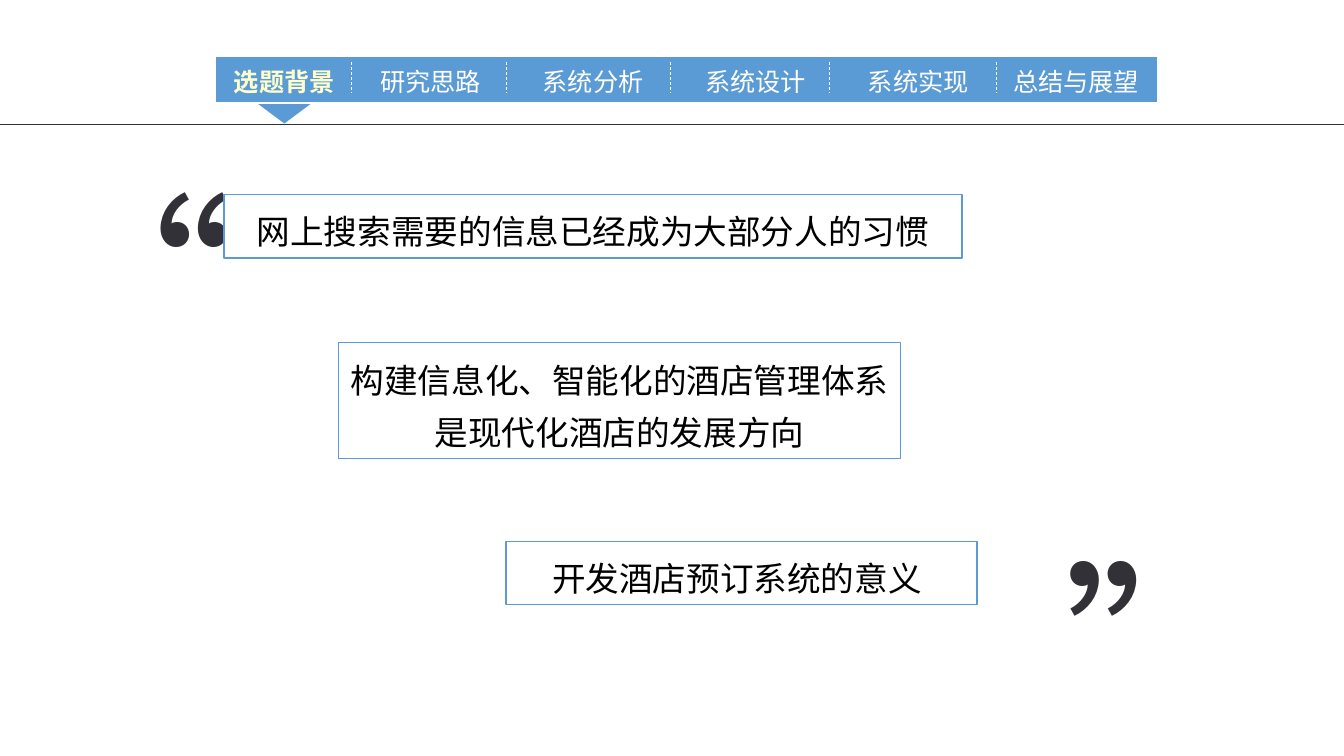
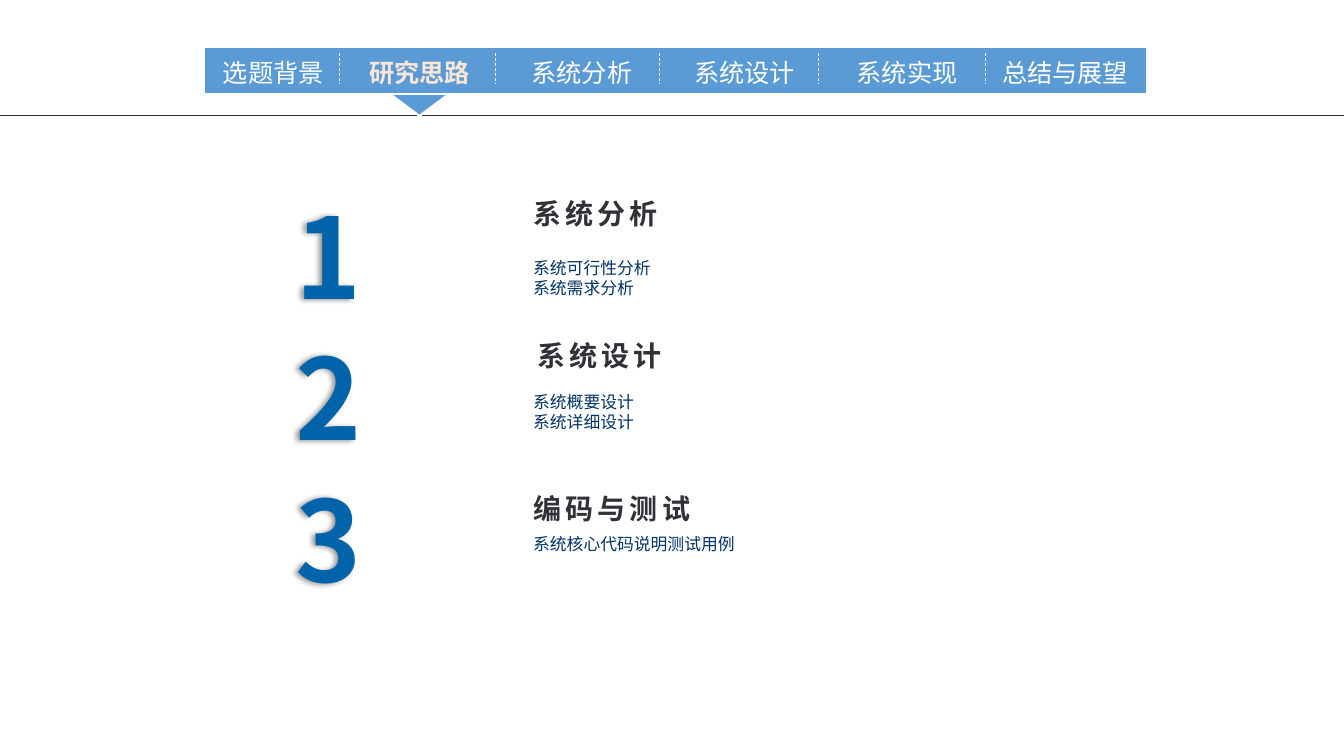
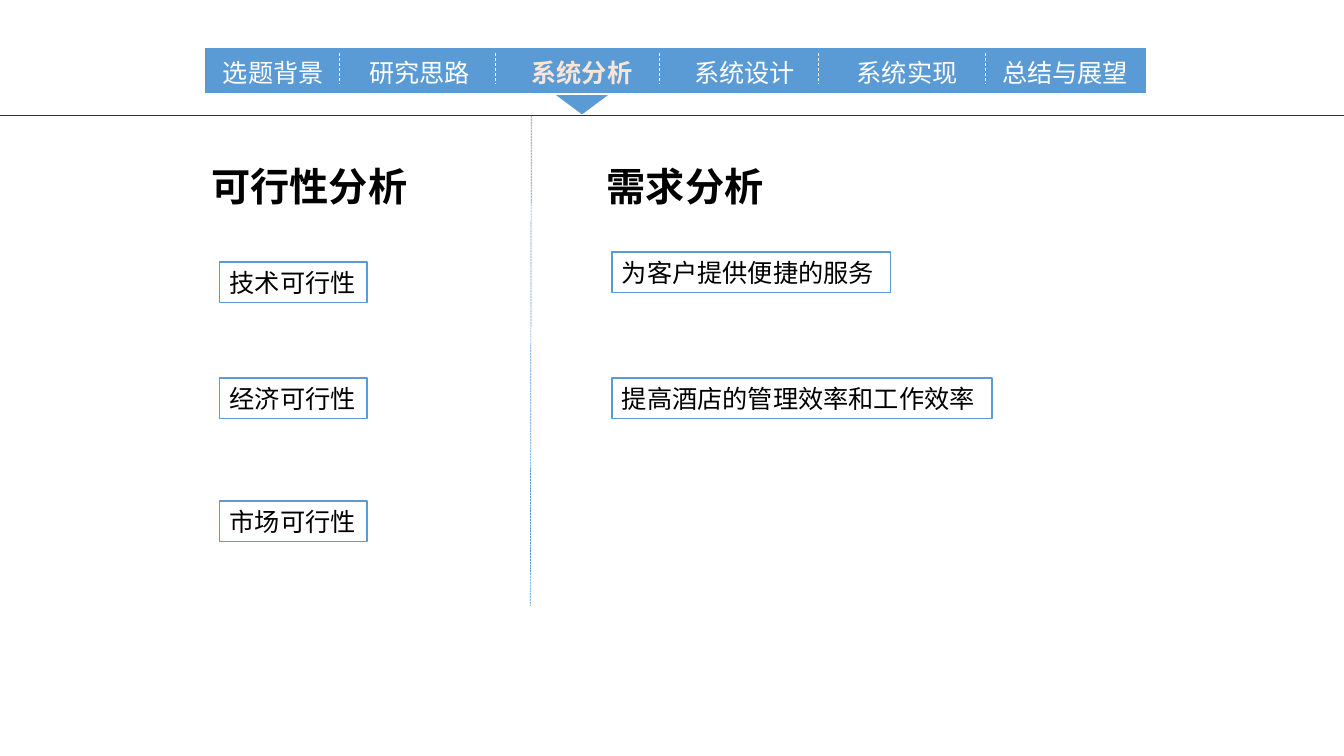
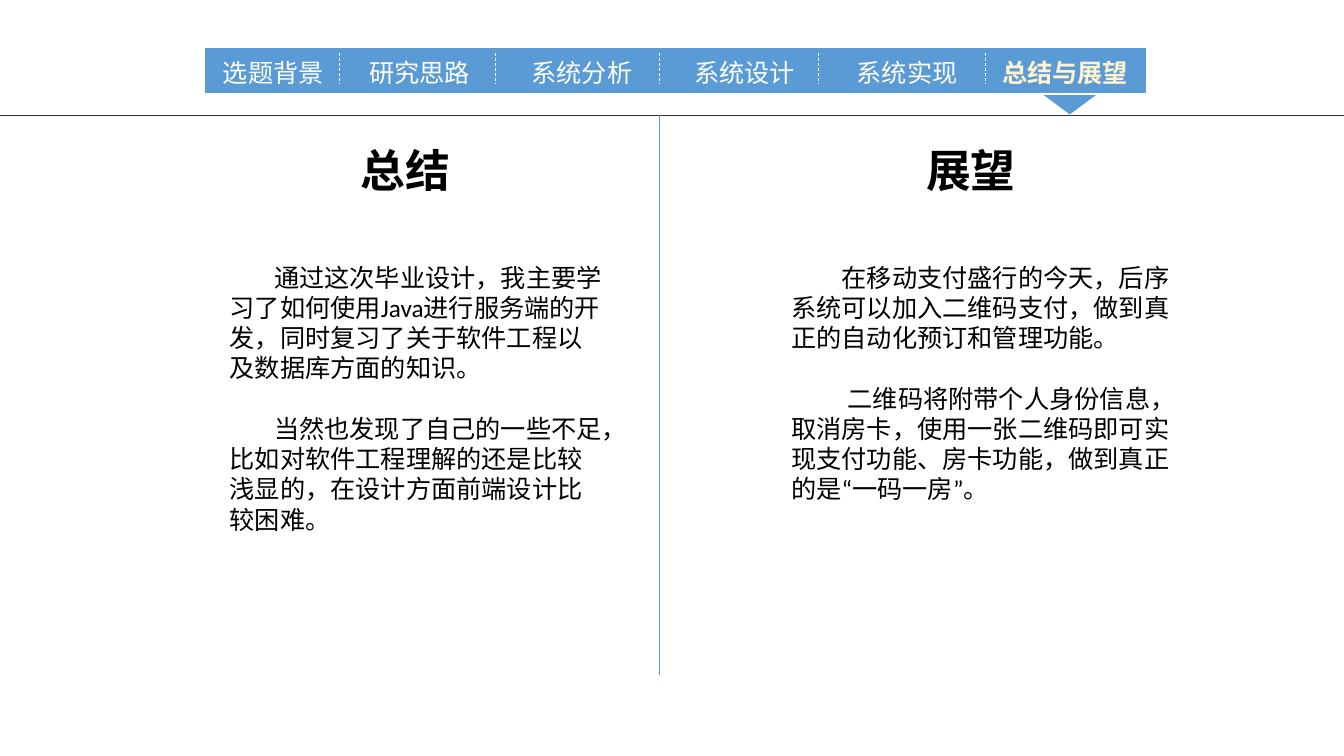
from dataclasses import dataclass
from typing import Any, Optional

import lxml.etree
import pptx
import pptx.dml.color
import pptx.enum.dml
import pptx.enum.shapes
import pptx.enum.text
import pptx.oxml.ns
import pptx.slide
import pptx.util

# Shared look: lengths are cells of a grid with ten cells to the inch
COLS, ROWS = 133.3, 75
CELL = pptx.util.Inches(0.1)
BLUE, WHITE, BLACK, DARK = "5B9BD5", "FFFFFF", "000000", "313137"
NUMBER_BLUE, NAVY = "0163AA", "003366"
CREAM, PEACH, SAND = "FFFFCC", "FBE5D6", "FFF2CC"
SANS, BODY = "Noto Sans CJK SC", "Calibri"
LEFT = pptx.enum.text.PP_ALIGN.LEFT
CENTER = pptx.enum.text.PP_ALIGN.CENTER
DASH = pptx.enum.dml.MSO_LINE.DASH
SHORT_DASH = pptx.enum.dml.MSO_LINE.SQUARE_DOT
RECT = pptx.enum.shapes.MSO_SHAPE.RECTANGLE
TRIANGLE = pptx.enum.shapes.MSO_SHAPE.ISOSCELES_TRIANGLE

# Navigation bar, measured from its left top corner
TABS = ["选题背景", "研究思路", "系统分析", "系统设计", "系统实现", "总结与展望"]
BAR_COLS, BAR_ROWS = 93.6, 4.6
TAB_COLS = 15.4
FIRST_TAB, SECOND_TAB, LAST_TAB = -0.8, 13.7, 78.2
DIVIDERS = [13.5, 28.9, 45.2, 61.0, 77.5]
ARROW_COLS, ARROW_ROWS = 5.9, 2.2
RULE_ROW = 6.7


@dataclass(frozen=True)
class Box:
    col: float
    row: float
    cols: float
    rows: float


@dataclass(frozen=True)
class Style:
    """Text style; leading is the line height as a share of the size."""
    size: float
    font: str = BODY
    color: str = BLACK
    bold: bool = False
    align: Any = LEFT
    leading: float = 1.2
    tracking: float = 0


@dataclass(frozen=True)
class Para:
    text: str
    indent: float = 0
    before: float = 0


@dataclass(frozen=True)
class Step:
    number: str
    number_row: float
    title: str
    title_at: tuple[float, float]
    details: list[str]
    details_row: float


@dataclass(frozen=True)
class Column:
    title: str
    title_box: Box
    text_box: Box
    paras: list[Para]


TAB = Style(18, SANS, WHITE, leading=1.29)
QUOTE = Style(139, SANS, DARK, leading=1.29)
OPEN_QUOTE = Style(139, SANS, DARK, leading=1.64)
STATEMENT = Style(24, "TeX Gyre Adventor", align=CENTER, leading=1.55)
NUMBER = Style(80, SANS, NUMBER_BLUE, True, CENTER, 1.29)
STEP_TITLE = Style(20, SANS, DARK, True, leading=1.29, tracking=3)
DETAIL = Style(12, "DejaVu Sans", NAVY)
ITEM = Style(18)


def rgb(color: str) -> pptx.dml.color.RGBColor:
    return pptx.dml.color.RGBColor.from_string(color)


def cells(n: float) -> int:
    return round(n * CELL)


def place(box: Box) -> list[int]:
    return [cells(n) for n in (box.col, box.row, box.cols, box.rows)]


# Drawing helpers
def write(sp: Any, paras: list[Para], style: Style) -> None:
    tf = sp.text_frame
    tf.word_wrap = True
    tf.vertical_anchor = pptx.enum.text.MSO_ANCHOR.TOP
    for i, para in enumerate(paras):
        p = tf.paragraphs[0] if i == 0 else tf.add_paragraph()
        p.text = para.text
        p.alignment = style.align
        p.line_spacing = pptx.util.Pt(style.size * style.leading)
        if para.before:
            p.space_before = pptx.util.Pt(para.before)
        if para.indent:
            p._p.get_or_add_pPr().set("indent", str(cells(para.indent)))
        for r in p.runs:
            r.font.size = pptx.util.Pt(style.size)
            r.font.bold = style.bold
            r.font.color.rgb = rgb(style.color)
            r.font.name = style.font
            rpr = r._r.get_or_add_rPr()
            ea = lxml.etree.SubElement(rpr, pptx.oxml.ns.qn("a:ea"))
            ea.set("typeface", style.font)
            if style.tracking:
                rpr.set("spc", str(round(style.tracking * 100)))


def add_text(shapes: Any, box: Box, paras: list[Para], style: Style) -> Any:
    sp = shapes.add_textbox(*place(box))
    write(sp, paras, style)
    return sp


def add_block(shapes: Any, kind: Any, box: Box, fill: str, line: str,
              width: float) -> Any:
    sp = shapes.add_shape(kind, *place(box))
    sp.shadow.inherit = False
    sp.fill.solid()
    sp.fill.fore_color.rgb = rgb(fill)
    sp.line.color.rgb = rgb(line)
    sp.line.width = pptx.util.Pt(width)
    return sp


def add_framed(shapes: Any, box: Box, text: str, style: Style) -> None:
    sp = add_block(shapes, RECT, box, WHITE, BLUE, 1)
    write(sp, [Para(text)], style)


def add_line(shapes: Any, start: tuple[float, float], end: tuple[float, float],
             color: str, dash: Optional[Any] = None) -> None:
    line = shapes.add_connector(pptx.enum.shapes.MSO_CONNECTOR.STRAIGHT,
                                *[cells(n) for n in start + end])
    line.line.color.rgb = rgb(color)
    line.line.width = pptx.util.Pt(0.5)
    if dash is not None:
        line.line.dash_style = dash
    lxml.etree.SubElement(line._element.spPr, pptx.oxml.ns.qn("a:effectLst"))


def add_glyph_shadow(sp: Any) -> None:
    qn = pptx.oxml.ns.qn
    effects = lxml.etree.SubElement(sp._element.spPr, qn("a:effectLst"))
    shadow = lxml.etree.SubElement(effects, qn("a:outerShdw"), blurRad="50800",
                                   dist="38100", dir="10800000")
    black = lxml.etree.SubElement(shadow, qn("a:srgbClr"), val=BLACK)
    lxml.etree.SubElement(black, qn("a:alpha"), val="40000")


def add_rule(s: pptx.slide.Slide, row: float) -> None:
    add_line(s.shapes, (0, row), (COLS, row), DARK)


def add_navigation(s: pptx.slide.Slide, active: int, highlight: str,
                   col: float = 20.2, row: float = 4.7,
                   rule_on_top: bool = True) -> None:
    if not rule_on_top:
        add_rule(s, row + RULE_ROW)
    step = (LAST_TAB - SECOND_TAB) / (len(TABS) - 2)
    tab_cols = [col + FIRST_TAB] + [col + SECOND_TAB + step * i
                                    for i in range(len(TABS) - 1)]
    shapes = s.shapes.add_group_shape().shapes
    arrow_col = tab_cols[active] + (TAB_COLS - ARROW_COLS) / 2
    arrow = add_block(shapes, TRIANGLE,
                      Box(arrow_col, row + BAR_ROWS, ARROW_COLS, ARROW_ROWS),
                      BLUE, WHITE, 1.5)
    arrow.rotation = 180
    add_block(shapes, RECT, Box(col, row, BAR_COLS, BAR_ROWS), BLUE, WHITE, 1.5)
    for i, (label, tab_col) in enumerate(zip(TABS, tab_cols)):
        on = i == active
        style = Style(TAB.size, TAB.font, highlight if on else TAB.color, on,
                      LEFT if i == len(TABS) - 1 else CENTER, TAB.leading)
        add_text(shapes, Box(tab_col, row + 0.3, TAB_COLS, 4), [Para(label)], style)
    for x in DIVIDERS:
        add_line(shapes, (col + x, row + 0.6), (col + x, row + 3.6), WHITE, DASH)
    if rule_on_top:
        add_rule(s, row + RULE_ROW)


# Slides
def background_slide(s: pptx.slide.Slide) -> None:
    add_text(s.shapes, Box(2.9, 7.2, 15.7, 28.5), [Para("“")], OPEN_QUOTE)
    add_text(s.shapes, Box(104.5, 50.4, 15.7, 24.2), [Para("”")], QUOTE)
    add_navigation(s, 0, CREAM, col=21.3, row=5.6)
    statements = [
        (Box(22.2, 19.3, 73.2, 6.3), "网上搜索需要的信息已经成为大部分人的习惯"),
        (Box(33.6, 34, 55.7, 11.5), "构建信息化、智能化的酒店管理体系是现代化酒店的发展方向"),
        (Box(50.2, 53.7, 46.7, 6.3), "开发酒店预订系统的意义 "),
    ]
    for box, text in statements:
        add_framed(s.shapes, box, text, STATEMENT)


def approach_slide(s: pptx.slide.Slide) -> None:
    steps = [
        Step("1", 17.1, "系统分析", (51.9, 18.8), ["系统可行性分析", "系统需求分析"], 25.1),
        Step("2", 31.1, "系统设计", (52.3, 32.8), ["系统概要设计", "系统详细设计"], 38.4),
        Step("3", 45.2, "编码与测试", (51.9, 48), ["系统核心代码说明测试用例"], 52.5),
    ]
    for step in steps:
        number = add_text(s.shapes, Box(26.5, step.number_row, 12.2, 14.5),
                          [Para(step.number)], NUMBER)
        add_glyph_shadow(number)
        add_text(s.shapes, Box(*step.title_at, 28.6, 4.4),
                 [Para(step.title)], STEP_TITLE)
        add_text(s.shapes, Box(51.9, step.details_row, 62.6, 1 + 2 * len(step.details)),
                 [Para(text) for text in step.details], DETAIL)
    add_navigation(s, 1, PEACH, rule_on_top=False)


def analysis_slide(s: pptx.slide.Slide) -> None:
    add_navigation(s, 2, PEACH)
    add_text(s.shapes, Box(20, 15.6, 23.4, 5.7), [Para("可行性分析")],
             Style(28, "Arial", bold=True))
    add_text(s.shapes, Box(59.2, 15.6, 17.8, 5.7), [Para("需求分析")],
             Style(28, bold=True))
    add_line(s.shapes, (52.7, 11.5), (52.6, 60.1), BLUE, SHORT_DASH)
    items = [
        (21.8, 26, 14.6, "技术可行性"),
        (21.8, 37.5, 14.6, "经济可行性"),
        (21.8, 49.7, 14.6, "市场可行性"),
        (60.7, 25, 27.6, "为客户提供便捷的服务"),
        (60.7, 37.5, 37.7, "提高酒店的管理效率和工作效率"),
    ]
    for col, row, cols, text in items:
        add_framed(s.shapes, Box(col, row, cols, 4), text, ITEM)


def summary_slide(s: pptx.slide.Slide) -> None:
    add_navigation(s, 5, SAND)
    add_line(s.shapes, (65.4, 11.4), (65.4, 67), BLUE)
    gap = ITEM.size * ITEM.leading
    columns = [
        Column("总结", Box(30.2, 13.7, 20.1, 6.4), Box(21.8, 25.5, 39, 28.3), [
            Para("通过这次毕业设计，我主要学习了如何使用Java进行服务端的开发，"
                 "同时复习了关于软件工程以及数据库方面的知识。", 4.4),
            Para("当然也发现了自己的一些不足，比如对软件工程理解的还是比较浅显的，"
                 "在设计方面前端设计比较困难。", 4.4, gap)]),
        Column("展望", Box(85.2, 13.7, 22.2, 6.4), Box(77.5, 25.5, 40.3, 25.2), [
            Para("在移动支付盛行的今天，后序系统可以加入二维码支付，"
                 "做到真正的自动化预订和管理功能。", 5),
            Para("二维码将附带个人身份信息，取消房卡，使用一张二维码即可实现支付功能、"
                 "房卡功能，做到真正的是“一码一房”。", 5.6, gap)]),
    ]
    for column in columns:
        add_text(s.shapes, column.title_box, [Para(column.title)],
                 Style(32, bold=True, align=CENTER))
        add_text(s.shapes, column.text_box, column.paras, ITEM)


def main() -> None:
    prs = pptx.Presentation()
    prs.slide_width, prs.slide_height = cells(COLS), cells(ROWS)
    blank = prs.slide_layouts[6]
    for build in (background_slide, approach_slide, analysis_slide, summary_slide):
        build(prs.slides.add_slide(blank))
    prs.save("out.pptx")


if __name__ == "__main__":
    main()
